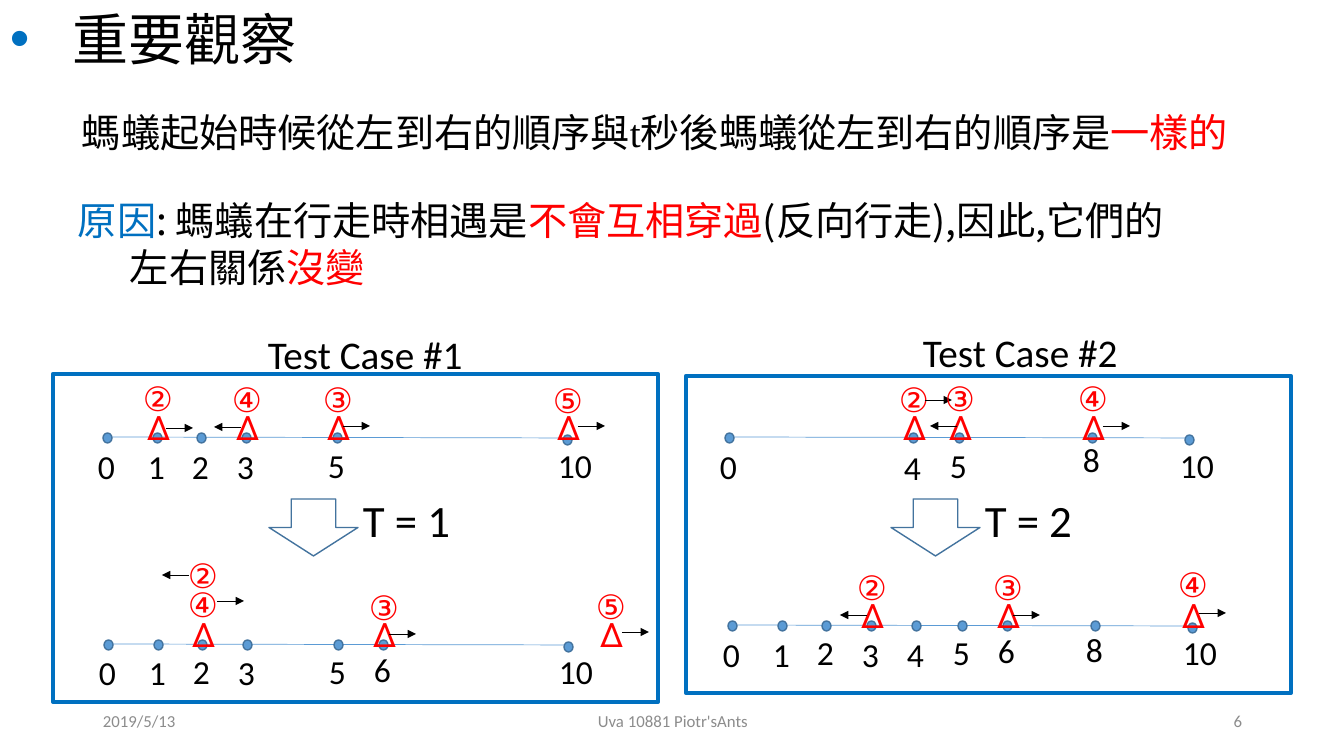
import dataclasses
import typing

import lxml.etree
import pptx
import pptx.dml.color
import pptx.enum.shapes
import pptx.enum.text
import pptx.oxml.ns
import pptx.util

SCALE = 914400 / 100.8
INK = {"black": "000000", "red": "FF0000", "blue": "0070C0", "gray": "8C8C8C",
       "dot": "5B9BD5", "edge": "43739E"}
HAN = "Noto Sans CJK SC"
SHAPE = pptx.enum.shapes.MSO_SHAPE
ALIGN = pptx.enum.text.PP_ALIGN
LEFT, RIGHT = -1, 1
# Distance of each number from the zero dot of its axis
SPOTS = {0: 0, 1: 50, 2: 94, 3: 139, 4: 184, 5: 230, 6: 275, 8: 363, 10: 460, 11: 502}

Box = tuple[int, int, int, int]
Run = tuple[str, str, str]


@dataclasses.dataclass(frozen=True)
class Ant:
    """An ant: its sign, place on the axis, sign top, and arrow start and way."""
    sign: str
    spot: int
    top: int
    start: tuple[int, int]
    way: int


@dataclasses.dataclass(frozen=True)
class Axis:
    """A number line: zero dot, label top for each number, and ants."""
    left: int
    top: int
    marks: dict[int, int]
    ants: list[Ant]


@dataclasses.dataclass(frozen=True)
class Case:
    """A framed test case with its title, elapsed time and two axes."""
    title: str
    head: tuple[int, int]
    frame: Box
    time: str
    arrow: int
    rows: list[Axis]


CASES = [
    Case("Test Case #1", (258, 325), (53, 374, 605, 328), "T = 1", 269, [
        Axis(103, 433, {0: 441, 1: 441, 2: 441, 3: 441, 5: 440, 10: 440}, [
            Ant("②", 1, 373, (166, 428), RIGHT),
            Ant("④", 3, 374, (241, 427), LEFT),
            Ant("③", 5, 374, (343, 426), RIGHT),
            Ant("⑤", 10, 375, (578, 426), RIGHT)]),
        Axis(104, 640, {0: 647, 1: 647, 2: 646, 3: 647, 5: 646, 6: 644, 10: 646}, [
            Ant("②", 2, 550, (189, 575), LEFT),
            Ant("④", 2, 579, (217, 601), RIGHT),
            Ant("③", 6, 582, (389, 634), RIGHT),
            Ant("⑤", 11, 581, (622, 632), RIGHT)])]),
    Case("Test Case #2", (913, 323), (686, 376, 605, 317), "T = 2", 891, [
        Axis(725, 433, {0: 441, 4: 442, 5: 440, 8: 434, 10: 440}, [
            Ant("②", 4, 374, (925, 400), RIGHT),
            Ant("③", 5, 373, (957, 426), LEFT),
            Ant("④", 8, 373, (1103, 426), RIGHT)]),
        Axis(728, 621, {0: 629, 1: 629, 2: 627, 3: 629, 4: 629, 5: 627,
                        6: 625, 8: 624, 10: 627}, [
            Ant("②", 3, 562, (867, 615), LEFT),
            Ant("③", 6, 562, (1013, 615), RIGHT),
            Ant("④", 10, 559, (1199, 613), RIGHT)])]),
]


def px(size: int) -> pptx.util.Emu:
    """Turn pixels into EMU."""
    return pptx.util.Emu(round(size * SCALE))


def tint(name: str) -> pptx.dml.color.RGBColor:
    """Look up a colour."""
    return pptx.dml.color.RGBColor.from_string(INK[name])


def node(root: typing.Any, tag: str, **attrs: str) -> typing.Any:
    """Add a drawing element to root."""
    return lxml.etree.SubElement(root, pptx.oxml.ns.qn(tag), attrs)


def write(slide: typing.Any, box: Box, text: str | list[list[Run]], *, size: int,
          font: str = "Calibri", ink: str = "black", align: typing.Any = ALIGN.LEFT,
          middle: bool = False) -> typing.Any:
    """Add a text box; text is a string or lists of (words, colour, font)."""
    frame = slide.shapes.add_textbox(*map(px, box)).text_frame
    frame.word_wrap = True
    if middle:
        frame.vertical_anchor = pptx.enum.text.MSO_ANCHOR.MIDDLE
    lines = [[(text, ink, font)]] if isinstance(text, str) else text
    for i, line in enumerate(lines):
        para = frame.add_paragraph() if i else frame.paragraphs[0]
        para.alignment = align
        for words, hue, face in line:
            run = para.add_run()
            run.text = words
            run.font.size = pptx.util.Pt(size)
            run.font.name = face
            run.font.color.rgb = tint(hue)
            node(run.font._element, "a:ea", typeface=face)
    return frame


def indent(para: typing.Any, left: int, first: int = 0) -> typing.Any:
    """Set the left margin and first-line indent of a paragraph."""
    props = para._p.get_or_add_pPr()
    props.set("marL", str(px(left)))
    props.set("indent", str(px(first)))
    return props


def draw(slide: typing.Any, kind: typing.Any, box: Box, *, line: str,
         width: float = 1, fill: str | None = None) -> None:
    """Add a preset shape."""
    shape = slide.shapes.add_shape(kind, *map(px, box))
    shape.shadow.inherit = False
    if fill:
        shape.fill.solid()
        shape.fill.fore_color.rgb = tint(fill)
    else:
        shape.fill.background()
    shape.line.color.rgb = tint(line)
    shape.line.width = pptx.util.Pt(width)


def link(slide: typing.Any, ends: Box, *, line: str, tip: bool = False) -> None:
    """Add a thin line, with an arrowhead if tip is set."""
    wire = slide.shapes.add_connector(pptx.enum.shapes.MSO_CONNECTOR.STRAIGHT,
                                      *map(px, ends))
    wire.line.color.rgb = tint(line)
    wire.line.width = pptx.util.Pt(0.5)
    if tip:
        node(wire.line._get_or_add_ln(), "a:tailEnd", type="triangle")
    node(wire._element.spPr, "a:effectLst")


def plot(slide: typing.Any, row: Axis) -> None:
    """Draw a number line with its dots, labels and ants."""
    link(slide, (row.left, row.top + 4, row.left + 469, row.top + 5), line="dot")
    for num, top in row.marks.items():
        x = row.left + SPOTS[num]
        drop = 2 if num == 10 else 0
        draw(slide, SHAPE.OVAL, (x, row.top + drop, 9, 10), line="edge", fill="dot")
        write(slide, (x - 15, top, 58 if num == 10 else 30, 50), str(num), size=24)
    for spot in {ant.spot for ant in row.ants}:
        write(slide, (row.left + SPOTS[spot] - 16, row.top - 31, 29, 50), "Δ",
              size=24, font="Roboto", ink="red")
    for ant in row.ants:
        write(slide, (row.left + SPOTS[ant.spot] - 20, ant.top, 47, 50), ant.sign,
              size=24, font="Roboto", ink="red")
        x, y = ant.start
        link(slide, (x, y, x + 27 * ant.way, y), line="black", tip=True)


def show(slide: typing.Any, case: Case) -> None:
    """Draw a whole test case."""
    for row in case.rows:
        plot(slide, row)
    write(slide, (case.arrow + 84, 488, 112, 65), case.time, size=32)
    draw(slide, SHAPE.DOWN_ARROW, (case.arrow, 499, 89, 57), line="edge")
    draw(slide, SHAPE.RECTANGLE, case.frame, line="blue", width=3)
    write(slide, (*case.head, 230, 57), case.title, size=28)


deck = pptx.Presentation()
deck.slide_width, deck.slide_height = px(1344), px(756)
slide = deck.slides.add_slide(deck.slide_layouts[6])

for left, wide, text, align in [(93, 302, "2019/5/13", ALIGN.LEFT),
                                (446, 454, "Uva 10881 Piotr'sAnts", ALIGN.CENTER),
                                (950, 302, "6", ALIGN.RIGHT)]:
    write(slide, (left, 701, wide, 40), text, size=12, ink="gray", align=align,
          middle=True)

title = write(slide, (0, 0, 382, 78), "重要觀察", size=40, font=HAN)
props = indent(title.paragraphs[0], 63, -63)
node(node(props, "a:buClr"), "a:srgbClr", val=INK["blue"])
node(props, "a:buFont", typeface="Arial")
node(props, "a:buChar", char="•")

write(slide, (72, 103, 1201, 57), [[
    ("螞蟻起始時候從左到右的順序與", "black", HAN), ("t", "black", "Times New Roman"),
    ("秒後螞蟻從左到右的順序是", "black", HAN), ("一樣的", "red", HAN)]], size=28)
cause = write(slide, (68, 191, 1179, 105), [
    [("原因", "blue", HAN), (": 螞蟻在行走時相遇是", "black", HAN),
     ("不會互相穿過", "red", HAN), ("(反向行走),因此,它們的", "black", HAN)],
    [("左右關係", "black", HAN), ("沒變", "red", HAN)]], size=28)
indent(cause.paragraphs[1], 52)

for case in CASES:
    show(slide, case)

deck.save("out.pptx")
